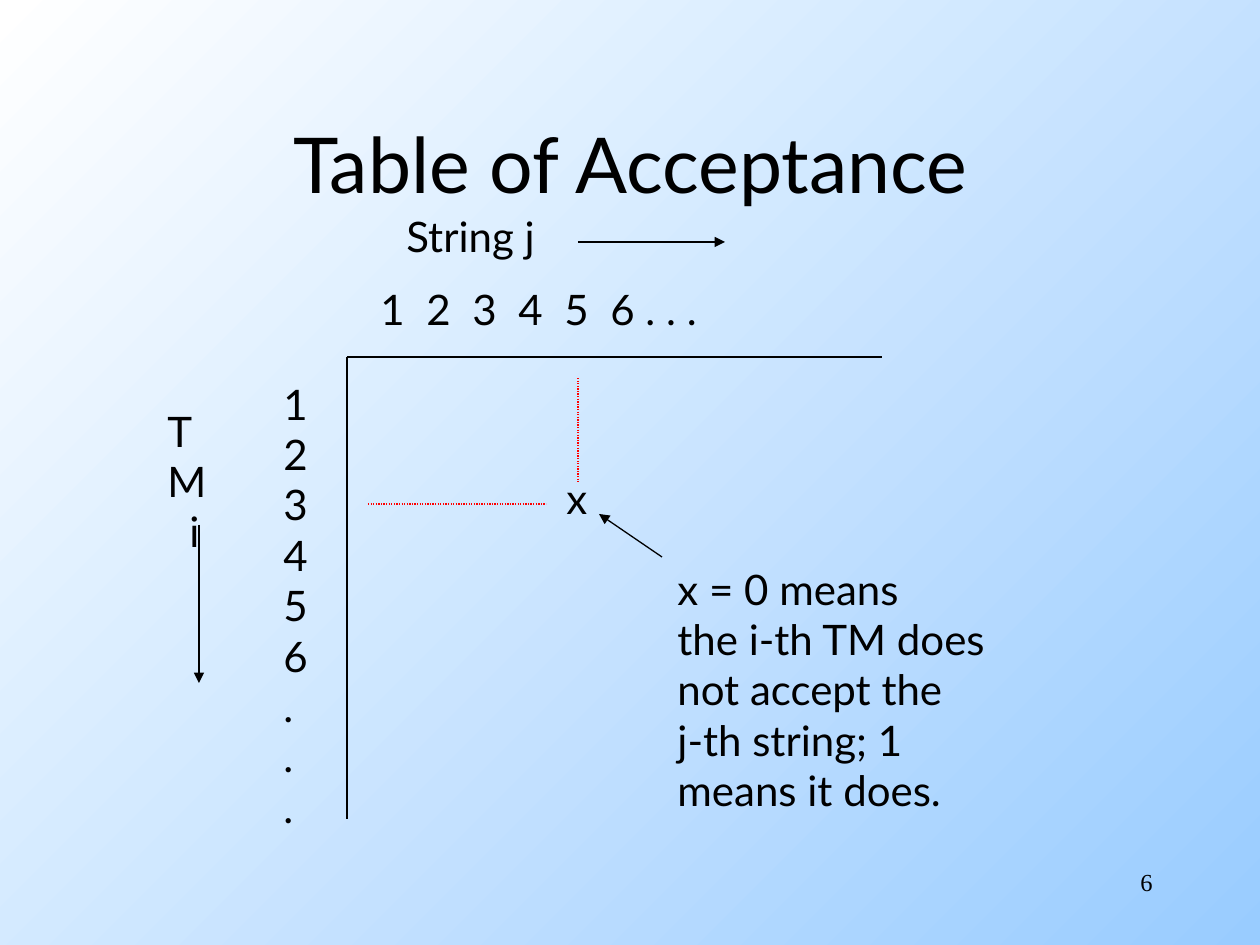
"""Build the Table of Acceptance slide."""
import lxml.etree
import pptx
import pptx.dml.color
import pptx.enum.dml
import pptx.enum.shapes
import pptx.enum.text
import pptx.oxml.ns
import pptx.util

ALIGN = pptx.enum.text.PP_ALIGN
MIDDLE = pptx.enum.text.MSO_ANCHOR.MIDDLE
TOP = pptx.enum.text.MSO_ANCHOR.TOP
DOTS = pptx.enum.dml.MSO_LINE.ROUND_DOT
STRAIGHT = pptx.enum.shapes.MSO_CONNECTOR.STRAIGHT
BLACK, RED, WHITE, SKY = "000000", "FF0000", "FFFFFF", "99CCFF"


def px(count):
    return pptx.util.Emu(round(count * 914400 / 126))


def color(code):
    return pptx.dml.color.RGBColor.from_string(code)


def add_node(parent, tag, **attrs):
    return lxml.etree.SubElement(parent, pptx.oxml.ns.qn(tag), attrs)


class Board:
    """Hold the text style and the slide being drawn."""

    font = "Lato"
    size = 24

    def __init__(self, deck):
        self.slide = deck.slides.add_slide(deck.slide_layouts[6])

    def shade(self, start, end):
        fill = self.slide.background.fill
        fill.gradient()
        fill.gradient_angle = 315
        for stop, code in zip(fill.gradient_stops, (start, end)):
            stop.color.rgb = color(code)

    def text(self, box, lines, size=None, font=None, align=ALIGN.LEFT,
             anchor=TOP, tabs=()):
        frame = self.slide.shapes.add_textbox(*map(px, box)).text_frame
        frame.word_wrap = True
        frame.vertical_anchor = anchor
        frame.text = "\n".join(lines)
        for para in frame.paragraphs:
            para.alignment = align
            if tabs:
                stops = add_node(para._p.get_or_add_pPr(), "a:tabLst")
                for place in tabs:
                    add_node(stops, "a:tab", pos=str(px(place)), algn="l")
            para.font.name = font or self.font
            para.font.size = pptx.util.Pt(size or self.size)
            para.font.color.rgb = color(BLACK)
        return frame

    def line(self, start, end, code=BLACK, arrow=False, dash=None):
        shape = self.slide.shapes.add_connector(
            STRAIGHT, *map(px, start + end))
        shape.line.color.rgb = color(code)
        shape.line.width = pptx.util.Pt(0.75)
        if dash:
            shape.line.dash_style = dash
        props = shape._element.spPr
        if arrow:
            add_node(props.find(pptx.oxml.ns.qn("a:ln")),
                     "a:tailEnd", type="triangle")
        add_node(props, "a:effectLst")


def main():
    deck = pptx.Presentation()
    deck.slide_width, deck.slide_height = px(1260), px(945)
    board = Board(deck)
    board.shade(WHITE, SKY)
    board.text((903, 861, 262, 63), ["6"], 14, "Times New Roman", ALIGN.RIGHT)
    board.text((95, 84, 1071, 158), ["Table of Acceptance"], 44,
               align=ALIGN.CENTER, anchor=MIDDLE)

    corner = (347, 357)
    board.line(corner, (347, 819))
    board.line(corner, (882, 357))
    digits = list("123456")
    board.text((271, 372, 49, 466), digits + ["."] * 3)
    board.text((368, 277, 345, 63), ["\t".join(digits) + " . . ."],
               tabs=range(46, 46 * len(digits), 46))

    label = board.text((155, 399, 80, 163), ["TM", "i"])
    label.paragraphs[1]._p.get_or_add_pPr().set("marL", str(px(22)))
    board.line((199, 525), (199, 683), arrow=True)
    board.text((394, 204, 165, 63), ["String j"])
    board.line((578, 242), (725, 242), arrow=True)

    board.line((368, 504), (546, 504), RED, dash=DOTS)
    board.line((578, 378), (578, 483), RED, dash=DOTS)
    board.text((554, 466, 47, 63), ["x"])
    board.text((665, 557, 344, 265), [
        "x = 0 means", "the i-th TM does", "not accept the",
        "j-th string; 1", "means it does."])
    board.line((662, 557), (599, 514), arrow=True)
    deck.save("out.pptx")


if __name__ == "__main__":
    main()
